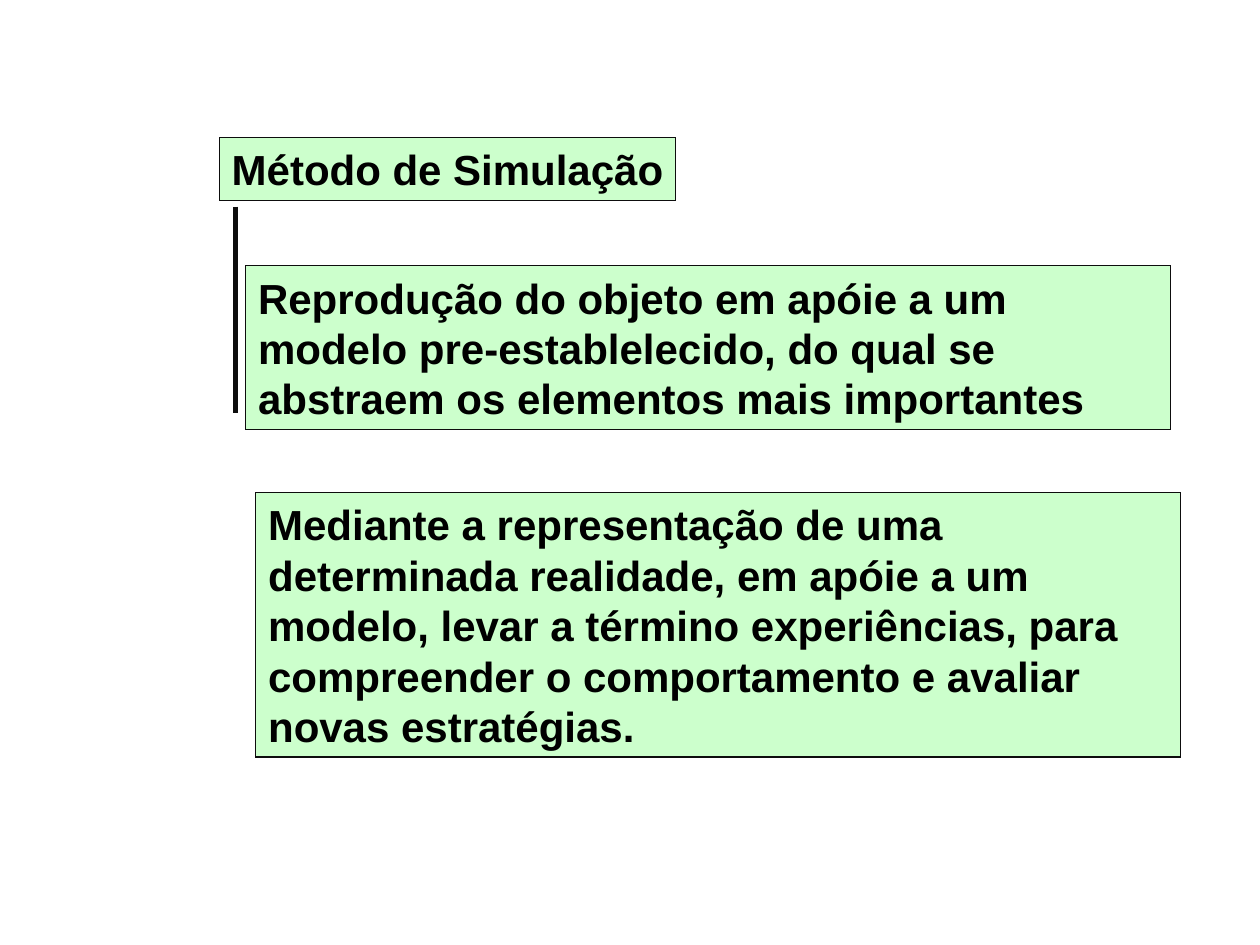
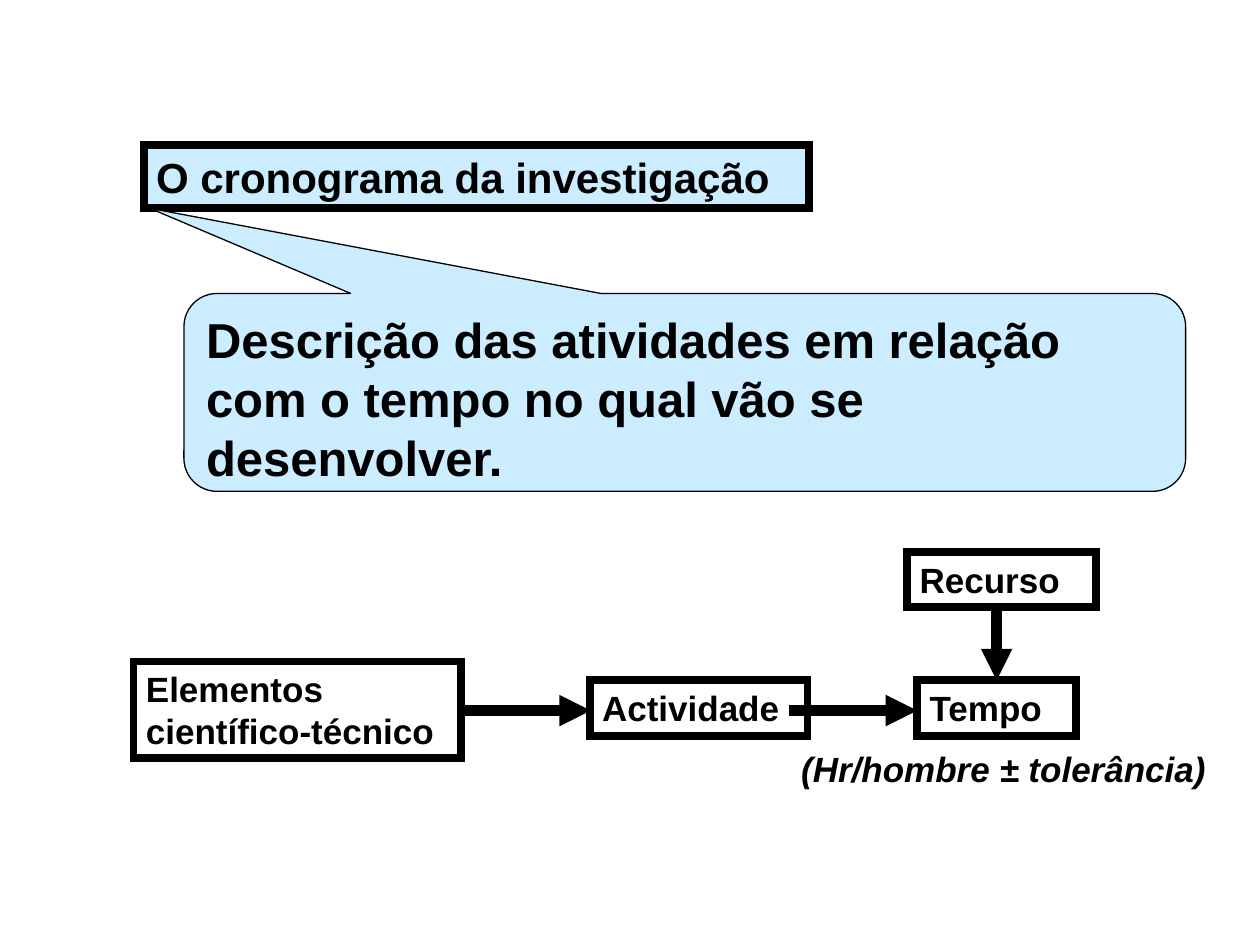
from typing import NamedTuple, Optional

from lxml import etree
from pptx import Presentation
from pptx import util as u
from pptx.dml.color import RGBColor
from pptx.enum import shapes, text
from pptx.oxml import ns

COLORS = {
    "ink": "000000",
    "outline": "0D0D0D",
    "green": "CCFFCC",
    "blue": "CCECFF",
}
FONT = "Arial"


class Box(NamedTuple):
    words: str
    left: float
    top: float
    width: float
    height: float
    size: int = 20
    fill: Optional[str] = None
    line: str = "ink"
    weight: float = 4.5
    right_inset: float = 0.1
    grow: bool = True
    preset: shapes.MSO_SHAPE = shapes.MSO_SHAPE.RECTANGLE
    adjust: tuple[float, ...] = ()


class Link(NamedTuple):
    x1: float
    y1: float
    x2: float
    y2: float
    weight: float = 6
    color: str = "ink"
    arrow: bool = True


def rgb(name: str) -> RGBColor:
    return RGBColor.from_string(COLORS[name])


def write(frame, words: str, size: int, right_inset: float = 0.1,
          grow: bool = True, italic: bool = False) -> None:
    frame.word_wrap = True
    frame.margin_right = u.Inches(right_inset)
    frame.auto_size = (text.MSO_AUTO_SIZE.SHAPE_TO_FIT_TEXT if grow
                       else text.MSO_AUTO_SIZE.NONE)
    frame.vertical_anchor = text.MSO_ANCHOR.TOP
    paragraph = frame.paragraphs[0]
    paragraph.alignment = text.PP_ALIGN.LEFT
    run = paragraph.add_run()
    run.text = words
    run.font.name = FONT
    run.font.size = u.Pt(size)
    run.font.bold = True
    run.font.italic = italic
    run.font.color.rgb = rgb("ink")


def draw_box(slide, box: Box) -> None:
    shape = slide.shapes.add_shape(
        box.preset, u.Inches(box.left), u.Inches(box.top),
        u.Inches(box.width), u.Inches(box.height))
    shape.shadow.inherit = False
    for index, value in enumerate(box.adjust):
        shape.adjustments[index] = value
    if box.fill:
        shape.fill.solid()
        shape.fill.fore_color.rgb = rgb(box.fill)
    else:
        shape.fill.background()
    shape.line.color.rgb = rgb(box.line)
    shape.line.width = u.Pt(box.weight)
    etree.SubElement(shape.line._get_or_add_ln(), ns.qn("a:miter"),
                     lim="800000")
    write(shape.text_frame, box.words, box.size, box.right_inset, box.grow)


def draw_link(slide, link: Link) -> None:
    connector = slide.shapes.add_connector(
        shapes.MSO_CONNECTOR.STRAIGHT, u.Inches(link.x1), u.Inches(link.y1),
        u.Inches(link.x2), u.Inches(link.y2))
    connector.line.color.rgb = rgb(link.color)
    connector.line.width = u.Pt(link.weight)
    if link.arrow:
        etree.SubElement(connector.line._get_or_add_ln(),
                         ns.qn("a:tailEnd"), type="triangle")
    etree.SubElement(connector._element.spPr, ns.qn("a:effectLst"))


def method_box(words: str, left: float, top: float, width: float,
               height: float, right_inset: float = 0.1) -> Box:
    return Box(words, left, top, width, height, 24, "green", "outline",
               0.75, right_inset)


def build_simulation(slide) -> None:
    draw_box(slide, method_box("Método de Simulação",
                               1.74, 1.09, 3.62, 0.5, right_inset=0))
    draw_box(slide, method_box(
        "Reprodução do objeto em apóie a um modelo pre-establelecido, "
        "do qual se abstraem os elementos mais importantes",
        1.95, 2.11, 7.34, 1.3))
    draw_link(slide, Link(1.87, 1.64, 1.87, 3.28, 3, "outline", False))
    draw_box(slide, method_box(
        "Mediante a representação de uma determinada realidade, em apóie "
        "a um modelo, levar a término experiências, para compreender o "
        "comportamento e avaliar novas estratégias.",
        2.03, 3.91, 7.34, 2.1))


def build_schedule(slide) -> None:
    flow_top, flow_height, flow_axis = 5.4, 0.44, 5.64
    boxes = (
        Box("O cronograma da investigação", 1.14, 1.15, 5.28, 0.5, 24, "blue"),
        Box("Descrição das atividades em relação com o tempo no qual vão se "
            "desenvolver.", 1.46, 2.33, 7.95, 1.57, 28, "blue", weight=0.75,
            grow=False, preset=shapes.MSO_SHAPE.ROUNDED_RECTANGULAR_CALLOUT,
            adjust=(-0.534, -0.931, 0.167)),
        Box("Elementos científico-técnico", 1.06, 5.25, 2.6, 0.77),
        Box("Actividade", 4.68, flow_top, 1.73, flow_height),
        Box("Tempo", 7.28, flow_top, 1.26, flow_height),
        Box("Recurso", 7.2, 4.38, 1.5, flow_height),
    )
    arrows = (
        Link(3.66, flow_axis, 4.69, flow_axis),
        Link(6.26, flow_axis, 7.28, flow_axis),
        Link(7.91, 4.85, 7.91, flow_top),
    )
    for box in boxes:
        draw_box(slide, box)
    for arrow in arrows:
        draw_link(slide, arrow)
    tolerance = slide.shapes.add_textbox(
        u.Inches(6.26), u.Inches(5.88), u.Inches(3.47), u.Inches(flow_height))
    write(tolerance.text_frame, "(Hr/hombre ± tolerância)", 20, italic=True)


def main() -> None:
    deck = Presentation()
    deck.slide_width = u.Inches(10)
    deck.slide_height = u.Inches(7.5)
    for build in (build_simulation, build_schedule):
        build(deck.slides.add_slide(deck.slide_layouts[6]))
    deck.save("out.pptx")


if __name__ == "__main__":
    main()
